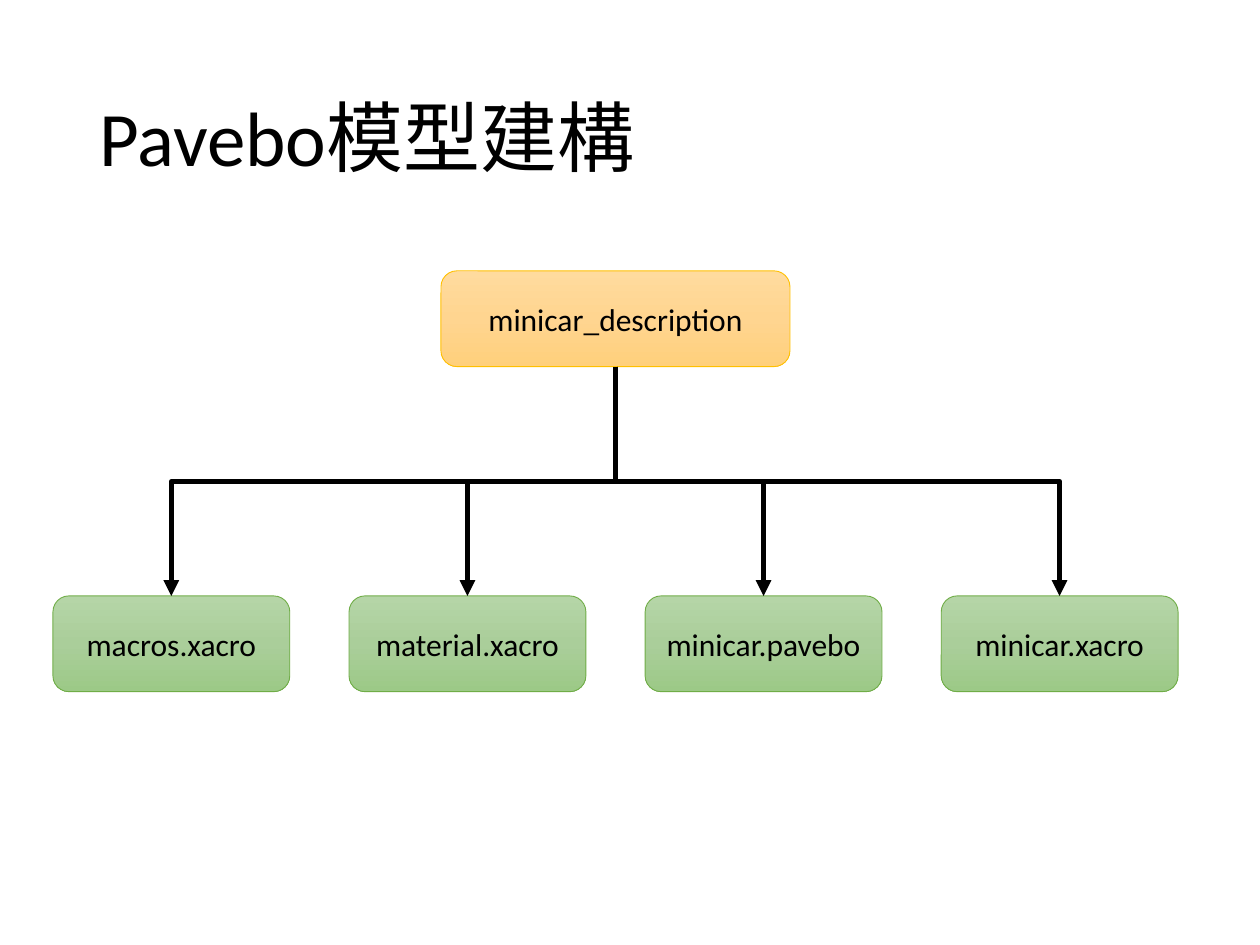
"""Build a slide with the file tree of a robot model package."""
from copy import deepcopy

from lxml import etree
from pptx import Presentation
from pptx.dml.color import RGBColor
from pptx.enum import shapes, text
from pptx.oxml import ns
from pptx.util import Inches, Pt

TITLE = "Pavebo模型建構"
PACKAGE = "minicar_description"
FILES = ["macros.xacro", "material.xacro", "minicar.pavebo", "minicar.xacro"]

FONT = "Calibri"
BLACK = RGBColor(0x00, 0x00, 0x00)
GOLD_LINE = RGBColor(0xFF, 0xC0, 0x00)
GOLD_FILL = [RGBColor(0xFF, 0xDB, 0x9E), RGBColor(0xFF, 0xD5, 0x90), RGBColor(0xFF, 0xD0, 0x7C)]
GREEN_LINE = RGBColor(0x70, 0xAD, 0x47)
GREEN_FILL = [RGBColor(0xB5, 0xD5, 0xA7), RGBColor(0xAA, 0xCE, 0x9A), RGBColor(0x9C, 0xC9, 0x87)]

NODE_HEIGHT = 0.76
PACKAGE_LEFT, PACKAGE_TOP, PACKAGE_WIDTH = 3.5, 2.15, 2.77
FILE_LEFT, FILE_TOP, FILE_WIDTH, FILE_PITCH = 0.42, 4.73, 1.88, 2.35
TOP_SITE, BOTTOM_SITE = 0, 2


def write(shape, words, size, align):
    frame = shape.text_frame
    frame.word_wrap = True
    frame.vertical_anchor = text.MSO_ANCHOR.MIDDLE
    para = frame.paragraphs[0]
    para.alignment = align
    span = para.add_run()
    span.text = words
    span.font.name = FONT
    span.font.size = Pt(size)
    span.font.color.rgb = BLACK
    return para


def shade(fill, colors):
    fill.gradient()
    fill.gradient_angle = 270
    first = fill._fill._gradFill.gsLst[0]
    first.addnext(deepcopy(first))
    for index, (stop, color) in enumerate(zip(fill.gradient_stops, colors)):
        stop.position = index / (len(colors) - 1)
        stop.color.rgb = color


def add_node(page, words, left, top, width, colors, outline):
    node = page.shapes.add_shape(
        shapes.MSO_SHAPE.ROUNDED_RECTANGLE,
        Inches(left), Inches(top), Inches(width), Inches(NODE_HEIGHT))
    node.shadow.inherit = False
    shade(node.fill, colors)
    node.line.color.rgb = outline
    node.line.width = Pt(0.5)
    write(node, words, 18, text.PP_ALIGN.CENTER)
    return node


def add_arrow(page, parent, child):
    start_x, start_y = parent.left + parent.width // 2, parent.top + parent.height
    end_x, end_y = child.left + child.width // 2, child.top
    arrow = page.shapes.add_connector(
        shapes.MSO_CONNECTOR.ELBOW, start_x, start_y, end_x, end_y)
    arrow.begin_connect(parent, BOTTOM_SITE)
    arrow.end_connect(child, TOP_SITE)

    drop, reach = end_y - start_y, abs(end_x - start_x)
    arrow.left = (start_x + end_x - drop) // 2
    arrow.top = (start_y + end_y - reach) // 2
    arrow.width, arrow.height = drop, reach
    rightward = end_x > start_x
    frame = arrow._element.spPr.find(ns.qn("a:xfrm"))
    frame.set("rot", str((270 if rightward else 90) * 60000))
    frame.set("flipH", "1" if rightward else "0")

    arrow.line.color.rgb = BLACK
    arrow.line.width = Pt(3)
    etree.SubElement(arrow.line._get_or_add_ln(), ns.qn("a:tailEnd"), type="triangle")
    etree.SubElement(arrow._element.spPr, ns.qn("a:effectLst"))


deck = Presentation()
deck.slide_width, deck.slide_height = Inches(10), Inches(7.5)
page = deck.slides.add_slide(deck.slide_layouts[6])

title = page.shapes.add_textbox(Inches(0.69), Inches(0.4), Inches(8.62), Inches(1.45))
write(title, TITLE, 44, text.PP_ALIGN.LEFT).line_spacing = 0.9

package = add_node(page, PACKAGE, PACKAGE_LEFT, PACKAGE_TOP, PACKAGE_WIDTH,
                   GOLD_FILL, GOLD_LINE)
files = [add_node(page, name, FILE_LEFT + index * FILE_PITCH, FILE_TOP, FILE_WIDTH,
                  GREEN_FILL, GREEN_LINE)
         for index, name in enumerate(FILES)]
for file_node in files:
    add_arrow(page, package, file_node)

deck.save("out.pptx")
